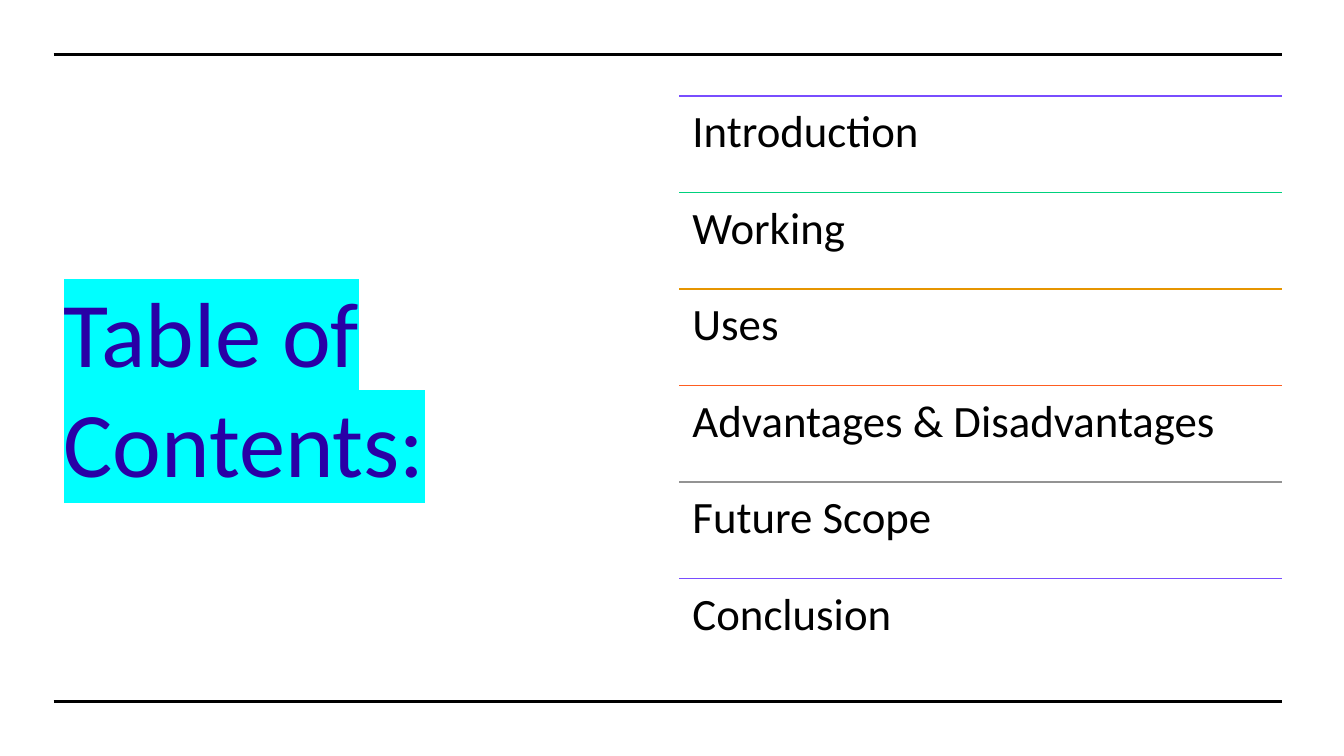
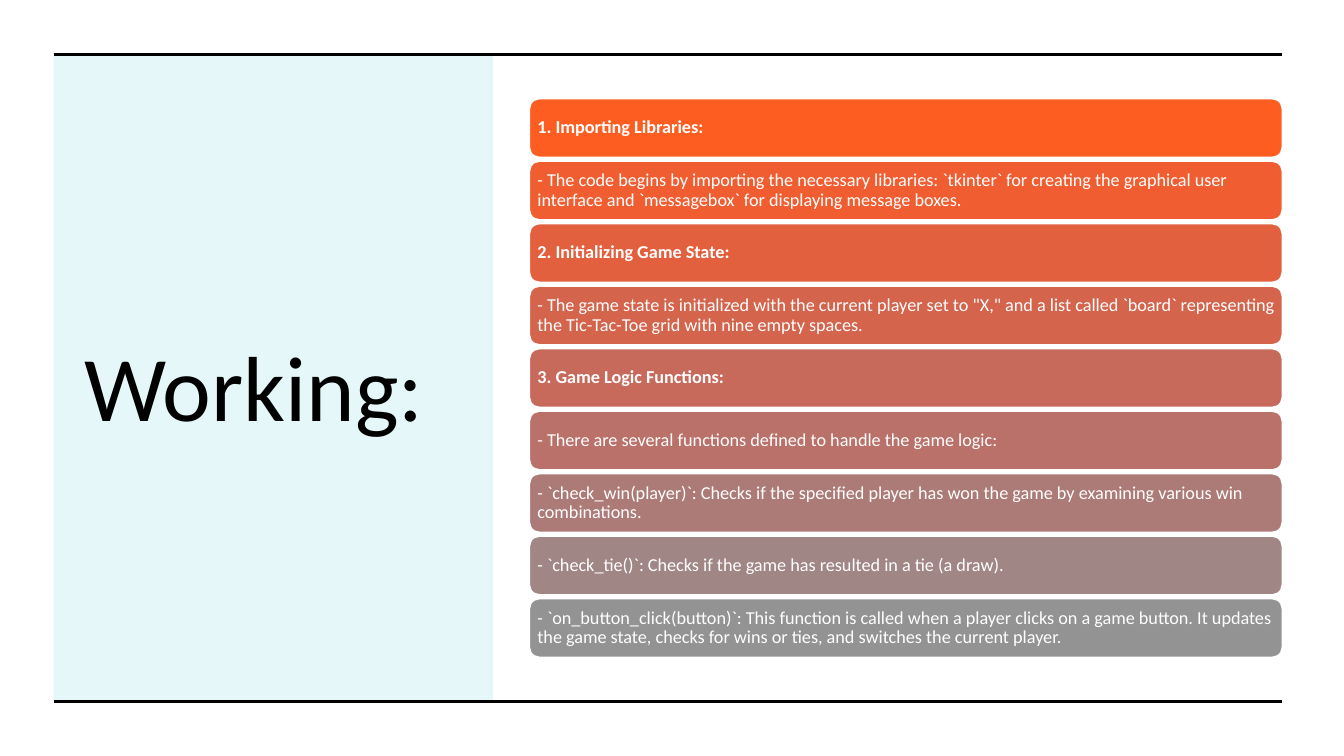
from colorsys import hls_to_rgb, rgb_to_hls
from dataclasses import dataclass

from lxml import etree
from pptx import Presentation
from pptx.dml.color import RGBColor
from pptx.enum.shapes import MSO_CONNECTOR, MSO_SHAPE
from pptx.enum.text import MSO_ANCHOR, PP_ALIGN
from pptx.oxml.ns import qn
from pptx.util import Inches, Pt

STRAIGHT = MSO_CONNECTOR.STRAIGHT
RECTANGLE, ROUNDED = MSO_SHAPE.RECTANGLE, MSO_SHAPE.ROUNDED_RECTANGLE
TOP, MIDDLE = MSO_ANCHOR.TOP, MSO_ANCHOR.MIDDLE
LEFT = PP_ALIGN.LEFT

SLIDE_W, SLIDE_H = Inches(13.33), Inches(7.5)

# Frame shared by the slides, in percent of the slide's width or height
MARGIN_LEFT, MARGIN_RIGHT = 4, 95.4
RULE_TOP, RULE_BOTTOM = 7.2, 92.8


@dataclass(frozen=True)
class Theme:
    font: str = "Calibri"
    ink: str = "000000"
    paper: str = "FFFFFF"
    contents_title: str = "2900A6"
    highlight: str = "00FFFF"
    panel: str = "00BAC8"
    panel_opacity: int = 10
    accents: tuple = ("794DFF", "00D17D", "E69500", "FE5D21", "939393")
    step_first: str = "FE5D21"
    step_last: str = "939393"
    title_size: int = 66
    agenda_size: int = 32
    step_size: int = 13
    frame_line: float = 2.25
    thin_line: float = 1


THEME = Theme()

AGENDA = ["Introduction", "Working", "Uses", "Advantages & Disadvantages",
          "Future Scope", "Conclusion"]

# Each step: text, whether it is a heading
STEPS = [
    ("1. Importing Libraries:", True),
    ("- The code begins by importing the necessary libraries: `tkinter` for "
     "creating the graphical user interface and `messagebox` for displaying "
     "message boxes.", False),
    ("2. Initializing Game State:", True),
    ("- The game state is initialized with the current player set to \"X,\" and "
     "a list called `board` representing the Tic-Tac-Toe grid with nine empty "
     "spaces.", False),
    ("3. Game Logic Functions:", True),
    ("- There are several functions defined to handle the game logic:", False),
    ("- `check_win(player)`: Checks if the specified player has won the game by "
     "examining various win combinations.", False),
    ("- `check_tie()`: Checks if the game has resulted in a tie (a draw).", False),
    ("- `on_button_click(button)`: This function is called when a player clicks "
     "on a game button. It updates the game state, checks for wins or ties, and "
     "switches the current player.", False),
]


def rgb(color):
    return RGBColor.from_string(color)


def place(left, top, width, height):
    """Turn percentages of the slide into lengths."""
    return (int(SLIDE_W * left / 100), int(SLIDE_H * top / 100),
            int(SLIDE_W * width / 100), int(SLIDE_H * height / 100))


def blend(first, last, count):
    """Even steps in hue, lightness and saturation between two colours."""
    start, end = (rgb_to_hls(*(part / 255 for part in rgb(color)))
                  for color in (first, last))
    for step in range(count):
        share = step / (count - 1)
        mixed = hls_to_rgb(*(a + (b - a) * share for a, b in zip(start, end)))
        yield "".join(f"{round(part * 255):02X}" for part in mixed)


def write(shape, text, size, color, anchor=MIDDLE, inset=None, spacing=1.0,
          bold=False):
    frame = shape.text_frame
    frame.text = text
    frame.word_wrap = True
    frame.vertical_anchor = anchor
    if inset is not None:
        frame.margin_left = frame.margin_right = Inches(inset)
        frame.margin_top = frame.margin_bottom = Inches(inset)
    paragraph = frame.paragraphs[0]
    paragraph.alignment = LEFT
    paragraph.line_spacing = spacing
    run = paragraph.runs[0]
    run.font.size = Pt(size)
    run.font.bold = bold
    run.font.color.rgb = rgb(color)
    run.font.name = THEME.font
    return run


def add_text(slide, box, text, size, color, **style):
    return write(slide.shapes.add_textbox(*place(*box)), text, size, color, **style)


def add_rule(slide, left, y, color, weight):
    x1, y1, width, _ = place(left, y, MARGIN_RIGHT - left, 0)
    rule = slide.shapes.add_connector(STRAIGHT, x1, y1, x1 + width, y1)
    rule.line.color.rgb = rgb(color)
    rule.line.width = Pt(weight)
    etree.SubElement(rule.element.spPr, qn("a:effectLst"))


def add_filled(slide, kind, box, color):
    shape = slide.shapes.add_shape(kind, *place(*box))
    shape.shadow.inherit = False
    shape.fill.solid()
    shape.fill.fore_color.rgb = rgb(color)
    shape.line.fill.background()
    return shape


def add_frame(slide):
    for y in (RULE_TOP, RULE_BOTTOM):
        add_rule(slide, MARGIN_LEFT, y, THEME.ink, THEME.frame_line)


def add_title(slide, box, text, color):
    return add_text(slide, box, text, THEME.title_size, color)


def add_highlight(run, color):
    fill = run.font.element.find(qn("a:solidFill")) if hasattr(
        run.font, "element") else run._r.rPr.find(qn("a:solidFill"))
    mark = etree.Element(qn("a:highlight"))
    etree.SubElement(mark, qn("a:srgbClr"), val=color)
    fill.addnext(mark)


def add_panel(slide):
    panel = add_filled(slide, RECTANGLE,
                       (MARGIN_LEFT, RULE_TOP, 32.7, RULE_BOTTOM - RULE_TOP),
                       THEME.panel)
    color = panel.element.spPr.find(qn("a:solidFill")).find(qn("a:srgbClr"))
    etree.SubElement(color, qn("a:alpha"), val=str(THEME.panel_opacity * 1000))


def add_agenda(slide, left, top, height):
    row = height / len(AGENDA)
    for index, topic in enumerate(AGENDA):
        y = top + index * row
        accent = THEME.accents[index % len(THEME.accents)]
        add_rule(slide, left, y, accent, THEME.thin_line)
        add_text(slide, (left, y, MARGIN_RIGHT - left, row), topic,
                 THEME.agenda_size, THEME.ink, anchor=TOP, inset=0.13, spacing=0.9)


def add_steps(slide, left, top, height, gap):
    bar_height = (height - gap * (len(STEPS) - 1)) / len(STEPS)
    colors = blend(THEME.step_first, THEME.step_last, len(STEPS))
    for index, ((text, heading), color) in enumerate(zip(STEPS, colors)):
        y = top + index * (bar_height + gap)
        bar = add_filled(slide, ROUNDED,
                         (left, y, MARGIN_RIGHT - left, bar_height), color)
        bar.line.color.rgb = rgb(THEME.paper)
        bar.line.width = Pt(THEME.thin_line)
        write(bar, text, THEME.step_size, THEME.paper, inset=0.05, spacing=0.9,
              bold=heading)


def build_contents(slide):
    top, height = 12.7, 76.6
    title = add_title(slide, (MARGIN_LEFT, top, 46, height), "Table of Contents:",
                      THEME.contents_title)
    add_highlight(title, THEME.highlight)
    add_frame(slide)
    add_agenda(slide, 50.55, top, height)


def build_working(slide):
    add_panel(slide)
    add_title(slide, (5.55, 14.27, 29.2, 73.3), "Working:", THEME.ink)
    add_frame(slide)
    add_steps(slide, 39.4, 13.07, 73.87, gap=0.53)


def main():
    deck = Presentation()
    deck.slide_width, deck.slide_height = SLIDE_W, SLIDE_H
    blank = deck.slide_layouts[6]
    for build in (build_contents, build_working):
        build(deck.slides.add_slide(blank))
    deck.save("out.pptx")


if __name__ == "__main__":
    main()
